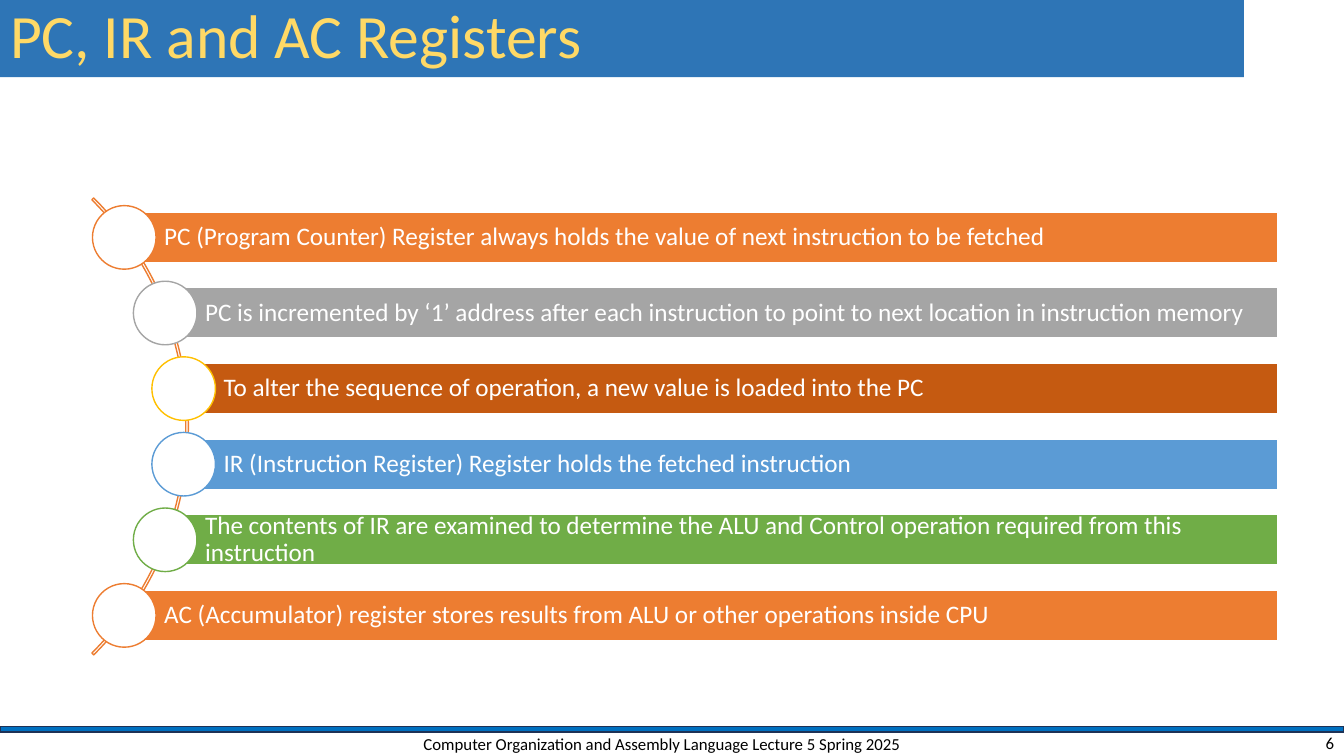
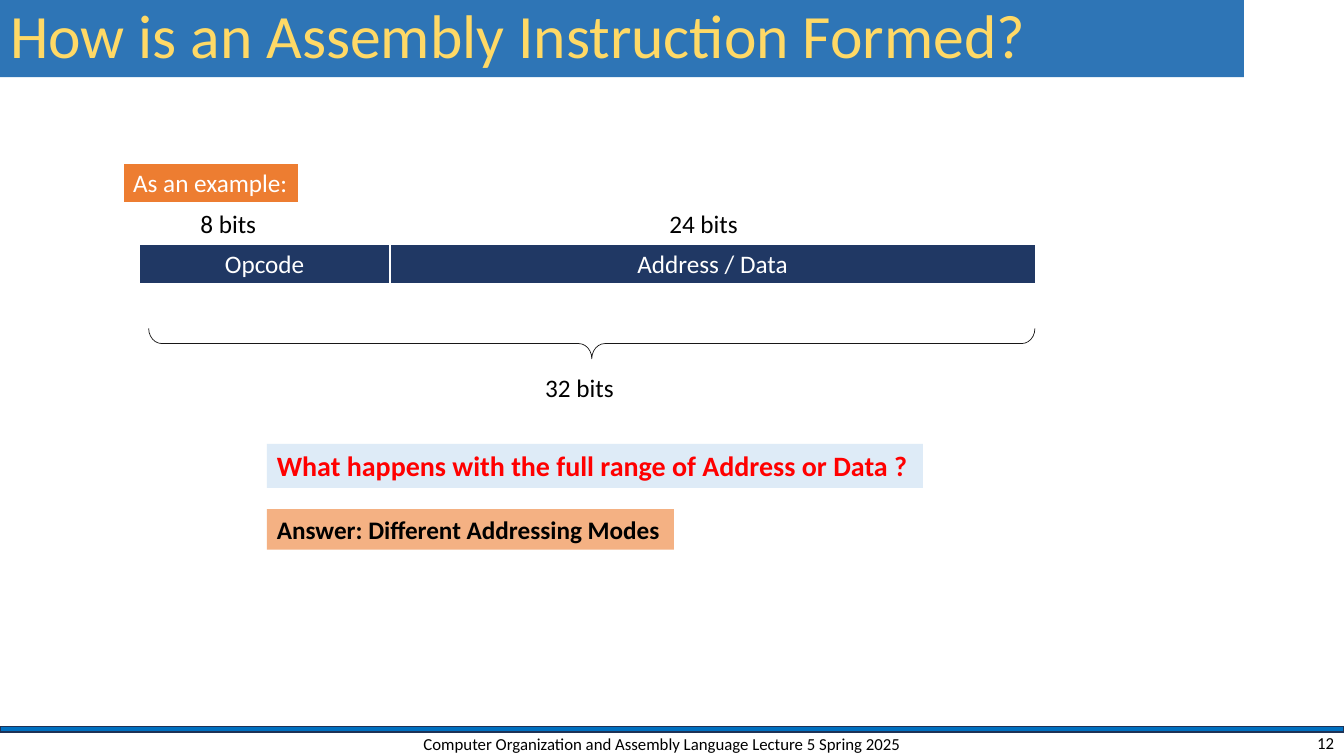
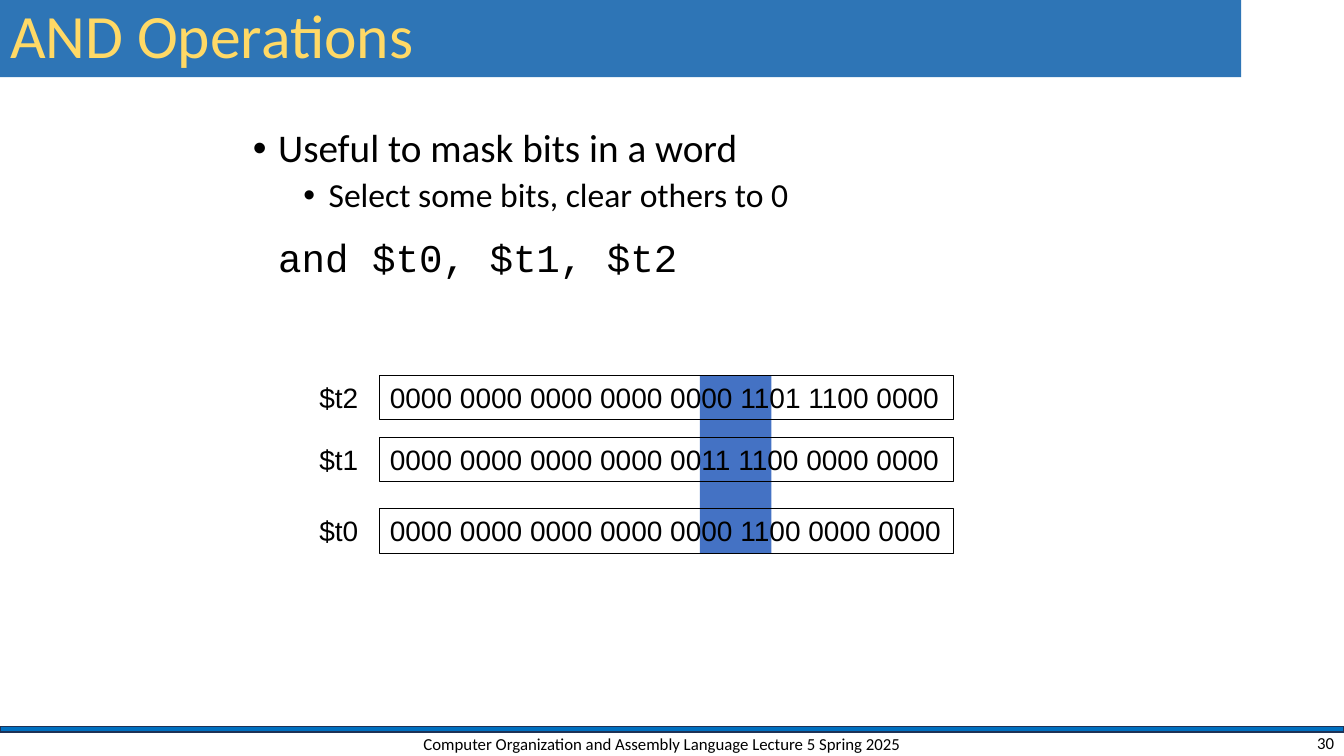
from math import sqrt

from lxml.etree import SubElement
from pptx import Presentation
from pptx.dml.color import RGBColor
from pptx.enum.shapes import MSO_SHAPE
from pptx.enum.text import MSO_ANCHOR, MSO_AUTO_SIZE, PP_ALIGN
from pptx.oxml.ns import qn
from pptx.util import Pt

# Shared look
WIDE, HIGH = 960, 540
WHITE, BLACK, ORANGE = "FFFFFF", "000000", "ED7D31"
BAND, GOLD, NAVY = "2E75B6", "FFD966", "203864"
COURSE = "Computer Organization and Assembly Language Lecture 5 Spring 2025"
PLAIN = {"name": "Calibri", "size": Pt(18)}
SMALL = {"name": "Calibri", "size": Pt(12)}
HEAD = {"name": "Calibri", "size": Pt(44)}
BITS = {"name": "Arial", "size": Pt(20)}
LEFT, MID, RIGHT = PP_ALIGN.LEFT, PP_ALIGN.CENTER, PP_ALIGN.RIGHT


# Basic helpers
def style(target, values):
    for key, value in values.items():
        setattr(target, key, value)


def paint(fill, color):
    if color is None:
        fill.background()
    else:
        fill.solid()
        fill.fore_color.rgb = RGBColor.from_string(color)


def place(shape, box):
    style(shape, dict(zip(("left", "top", "width", "height"), map(Pt, box))))


def write(frame, text, look, color, align=LEFT, **setup):
    style(frame, {"word_wrap": True, "auto_size": MSO_AUTO_SIZE.NONE, **setup})
    para = frame.paragraphs[0]
    para.alignment = align
    add_run(para, text, look, color)
    return para


def add_run(para, text, look, color):
    run = para.add_run()
    run.text = text
    style(run.font, look)
    paint(run.font.fill, color)


def draw(slide, kind, box, fill=None, line=None, weight=1):
    shape = slide.shapes.add_shape(kind, *map(Pt, box))
    shape.shadow.inherit = False
    paint(shape.fill, fill)
    paint(shape.line.fill, line)
    if line:
        shape.line.width = Pt(weight)
    return shape


def label(slide, box, text, look=PLAIN, color=BLACK, align=LEFT, **setup):
    frame = slide.shapes.add_textbox(*map(Pt, box)).text_frame
    write(frame, text, look, color, align, **setup)


def panel(slide, box, text, look, color, fill=None, line=None, weight=1):
    shape = draw(slide, MSO_SHAPE.RECTANGLE, box, fill, line, weight)
    write(shape.text_frame, text, look, color, word_wrap=False,
          vertical_anchor=MSO_ANCHOR.TOP)


# Frame of every slide
def add_rule(deck, slide):
    rule = draw(slide, MSO_SHAPE.RECTANGLE, (0, 519, WIDE, 3.8), "0070C0", "1E3256")
    deck.slide_master.shapes.element.insert(2, rule.element)


def start(deck, layout, title, number, width=888.5):
    slide = deck.slides.add_slide(deck.slide_layouts[layout])
    head = slide.shapes.title
    place(head, (0, 0, width, 55.2))
    paint(head.fill, BAND)
    para = write(head.text_frame, title, HEAD, GOLD,
                 vertical_anchor=MSO_ANCHOR.MIDDLE)
    para.line_spacing = 0.9
    middle = {"vertical_anchor": MSO_ANCHOR.MIDDLE}
    label(slide, (282, 521.4, 382, 20), COURSE, SMALL, align=MID, **middle)
    label(slide, (744, 521.4, 216, 18), str(number), SMALL, align=RIGHT, **middle)
    return slide


# Bars whose discs sit along an arc
def arc_list(slide, box, items):
    left, top, width, height = box
    size, radius, disc, bar, step = 461.5, 229, 45.4, 36, 54
    hub_x, hub_y = left - 162, top + height / 2
    arc = draw(slide, MSO_SHAPE.BLOCK_ARC,
               (hub_x - size / 2, hub_y - size / 2, size, size), line=ORANGE)
    for spot, value in enumerate((189, 27, 0.004)):
        arc.adjustments[spot] = value
    for row, (text, fill, ring) in enumerate(items):
        drop = (row - (len(items) - 1) / 2) * step
        x, y = hub_x + sqrt(radius ** 2 - drop ** 2), hub_y + drop
        strip = draw(slide, MSO_SHAPE.RECTANGLE,
                     (x, y - bar / 2, left + width - x, bar), fill, WHITE)
        para = write(strip.text_frame, text, PLAIN, WHITE,
                     vertical_anchor=MSO_ANCHOR.MIDDLE, margin_left=Pt(28.5),
                     margin_right=Pt(3.6))
        para.line_spacing = 0.9
        draw(slide, MSO_SHAPE.OVAL, (x - disc / 2, y - disc / 2, disc, disc),
             WHITE, ring)


# Instruction word: sizes, fields and brace
def edge_cell(cell):
    props = cell._tc.get_or_add_tcPr()
    for side, weight in {"L": 1, "R": 1, "T": 1, "B": 3}.items():
        line = SubElement(props, qn(f"a:ln{side}"), w=str(Pt(weight)))
        fill = SubElement(line, qn("a:solidFill"))
        SubElement(fill, qn("a:srgbClr"), val=WHITE)


def word_format(slide, box, fields, total):
    left, top, width, height = box
    grid = slide.shapes.add_table(1, len(fields), *map(Pt, box)).table
    style(grid, {"first_row": False, "horz_banding": False})
    for col, (name, size, share, shift, span) in enumerate(fields):
        grid.columns[col].width = Pt(share)
        cell = grid.cell(0, col)
        edge_cell(cell)
        paint(cell.fill, NAVY)
        para = cell.text_frame.paragraphs[0]
        para.alignment = MID
        add_run(para, name, PLAIN, WHITE)
        label(slide, (left + shift, top - 29, span, 29), size, word_wrap=False)
    thick, span = 21.6, 633
    mid_x, mid_y = left + 323.3, top + 71
    brace = draw(slide, MSO_SHAPE.LEFT_BRACE,
                 (mid_x - thick / 2, mid_y - span / 2, thick, span),
                 line="181717", weight=0.5)
    brace.rotation = 270
    brace.adjustments[0] = 0.434
    label(slide, (left + 283, top + 88, 64, 29), total, word_wrap=False)


# Bulleted text in the body placeholder
def bullets(slide, box, items):
    body = slide.placeholders[1]
    place(body, box)
    frame = body.text_frame
    style(frame, {"word_wrap": True, "auto_size": MSO_AUTO_SIZE.NONE})
    for row, (text, level, margin, mark, gap, font, size) in enumerate(items):
        para = frame.add_paragraph() if row else frame.paragraphs[0]
        props = para._p.get_or_add_pPr()
        props.set("marL", str(Pt(margin)))
        props.set("indent", str(Pt(-18 if mark else 0)))
        if mark:
            SubElement(props, qn("a:buFont"), typeface="Arial")
            SubElement(props, qn("a:buChar"), char=mark)
        else:
            SubElement(props, qn("a:buNone"))
        style(para, {"level": level, "line_spacing": 0.9,
                     "space_before": Pt(gap), "alignment": LEFT})
        add_run(para, text, {"name": font, "size": Pt(size)}, BLACK)


# Register rows over a marked column
def bit_rows(slide, box, rows):
    left, top, width, height = box
    draw(slide, MSO_SHAPE.RECTANGLE, (left + 279, top + 0.6, 51, height), "4472C4")
    for name, bits, shift in rows:
        label(slide, (left, top + shift, 42.5, 31), name, BITS, word_wrap=False)
        panel(slide, (left + 50.4, top + shift, width - 50.4, 31.7), bits, BITS,
              BLACK, line=BLACK, weight=0.75)


def main():
    deck = Presentation()
    style(deck, {"slide_width": Pt(WIDE), "slide_height": Pt(HIGH)})

    slide = start(deck, 5, "PC, IR and AC Registers", 6)
    add_rule(deck, slide)
    arc_list(slide, (65.8, 141.8, 847.2, 325.6), [
        ("PC (Program Counter) Register always holds the value of next "
         "instruction to be fetched", ORANGE, ORANGE),
        ("PC is incremented by ‘1’ address after each instruction to point to "
         "next location in instruction memory", "A5A5A5", "A5A5A5"),
        ("To alter the sequence of operation, a new value is loaded into the PC",
         "C55A11", "FFC000"),
        ("IR (Instruction Register) Register holds the fetched instruction",
         "5B9BD5", "5B9BD5"),
        ("The contents of IR are examined to determine the ALU and Control "
         "operation required from this instruction", "70AD47", "70AD47"),
        ("AC (Accumulator) register stores results from ALU or other "
         "operations inside CPU", ORANGE, ORANGE),
    ])

    slide = start(deck, 5, "How is an Assembly Instruction Formed?", 12)
    word_format(slide, (99.4, 174.4, 640, 29.4), [
        ("Opcode", "8 bits", 179.2, 36.7, 55),
        ("Address / Data", "24 bits", 460.8, 371.6, 64),
    ], "32 bits")
    strong = {**PLAIN, "bold": True}
    panel(slide, (88, 116.2, 126, 29), "As an example:", PLAIN, WHITE,
          ORANGE, WHITE, 1.5)
    panel(slide, (190.6, 317, 468.7, 31.5),
          "What happens with the full range of Address or Data ?",
          {**strong, "size": Pt(20)}, "FF0000", "DEEBF7")
    panel(slide, (190.6, 363.6, 290.7, 29), "Answer: Different Addressing Modes",
          strong, BLACK, "F4B183")

    slide = start(deck, 1, "AND Operations", 30, 886.5)
    bullets(slide, (173.5, 88.6, 651.6, 163.4), [
        ("Useful to mask bits in a word", 0, 18, "•", 0, "Calibri", 28),
        ("Select some bits, clear others to 0", 1, 54, "•", 5, "Calibri", 24),
        ("and $t0, $t1, $t2", 0, 18, None, 17, "Courier New", 28),
    ])
    bit_rows(slide, (221, 268, 460, 126.7), [
        ("$t2", "0000 0000 0000 0000 0000 1101 1100 0000", 0),
        ("$t1", "0000 0000 0000 0000 0011 1100 0000 0000", 44.2),
        ("$t0", "0000 0000 0000 0000 0000 1100 0000 0000", 95.4),
    ])
    deck.save("out.pptx")


if __name__ == "__main__":
    main()
